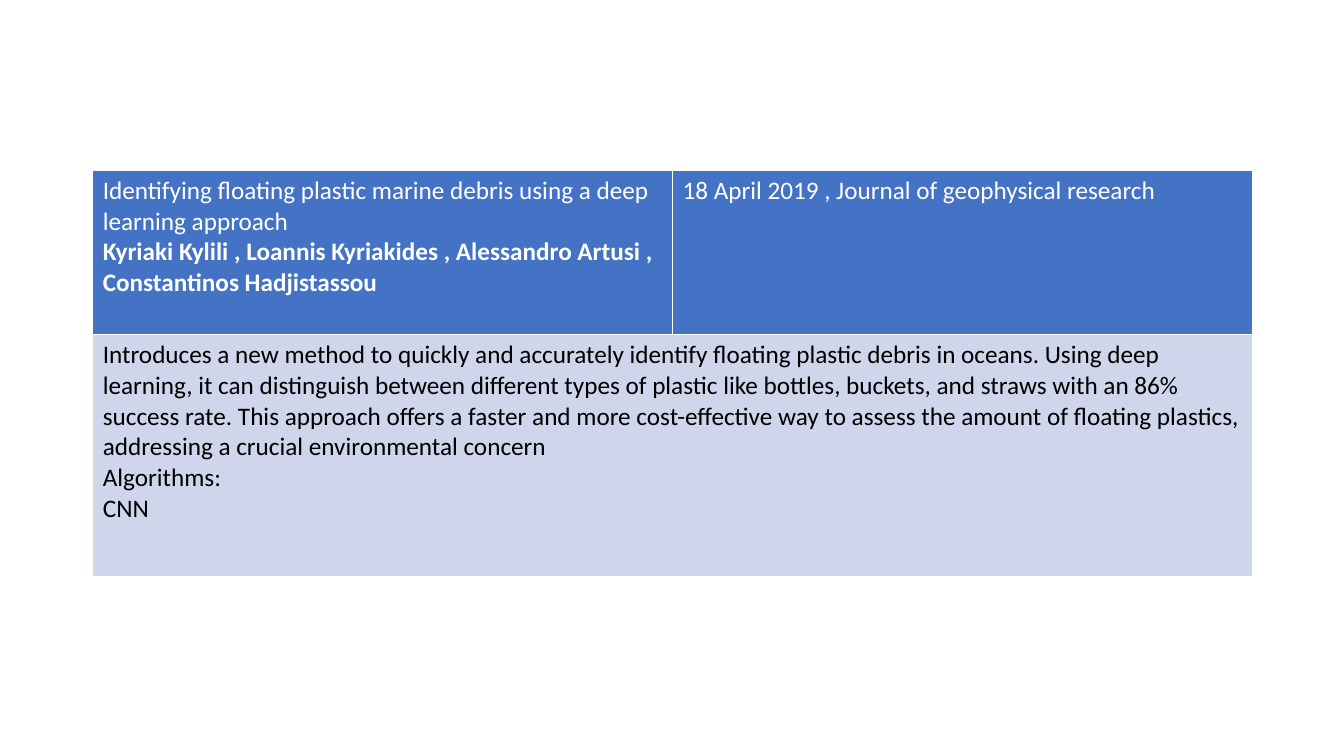
import pptx
import pptx.util
import pptx.dml.color
from dataclasses import dataclass
from pptx.util import Inches


@dataclass(frozen=True)
class Theme:
    font: str = "Calibri"
    size: int = 18
    header_fill: str = "4472C4"
    header_text: str = "FFFFFF"
    body_fill: str = "CFD5EA"
    body_text: str = "000000"


THEME = Theme()

# Each paragraph is (text, bold).
PAPER = [
    ("Identifying floating plastic marine debris using a deep learning approach", False),
    ("Kyriaki Kylili , Loannis Kyriakides , Alessandro Artusi , Constantinos Hadjistassou", True),
]
PUBLICATION = [("18 April 2019 , Journal of geophysical research", False)]
SUMMARY = [
    ("Introduces a new method to quickly and accurately identify floating plastic debris "
     "in oceans. Using deep learning, it can distinguish between different types of plastic "
     "like bottles, buckets, and straws with an 86% success rate. This approach offers a "
     "faster and more cost-effective way to assess the amount of floating plastics, "
     "addressing a crucial environmental concern", False),
    ("Algorithms:", False),
    ("CNN", False),
]

LEFT, TOP = 0.92, 1.69
COLUMN_WIDTHS = (5.75, 5.75)
ROW_HEIGHTS = (1.63, 2.4)


def color(value):
    return pptx.dml.color.RGBColor.from_string(value)


def fill_cell(cell, paragraphs, fill, text_color):
    cell.fill.solid()
    cell.fill.fore_color.rgb = color(fill)
    frame = cell.text_frame
    for index, (text, bold) in enumerate(paragraphs):
        para = frame.add_paragraph() if index else frame.paragraphs[0]
        span = para.add_run()
        span.text = text
        span.font.name = THEME.font
        span.font.size = pptx.util.Pt(THEME.size)
        span.font.bold = bold
        span.font.color.rgb = color(text_color)


def add_paper_table(page):
    table = page.shapes.add_table(
        len(ROW_HEIGHTS), len(COLUMN_WIDTHS), Inches(LEFT), Inches(TOP),
        Inches(sum(COLUMN_WIDTHS)), Inches(sum(ROW_HEIGHTS))).table
    for column, width in zip(table.columns, COLUMN_WIDTHS):
        column.width = Inches(width)
    for row, height in zip(table.rows, ROW_HEIGHTS):
        row.height = Inches(height)

    for column, paragraphs in enumerate((PAPER, PUBLICATION)):
        fill_cell(table.cell(0, column), paragraphs, THEME.header_fill, THEME.header_text)
    summary = table.cell(1, 0)
    summary.merge(table.cell(1, 1))
    fill_cell(summary, SUMMARY, THEME.body_fill, THEME.body_text)


def main():
    deck = pptx.Presentation()
    deck.slide_width, deck.slide_height = Inches(13.33), Inches(7.5)
    blank_layout = deck.slide_layouts[6]
    page = deck.slides.add_slide(blank_layout)
    add_paper_table(page)
    deck.save("out.pptx")


if __name__ == "__main__":
    main()
